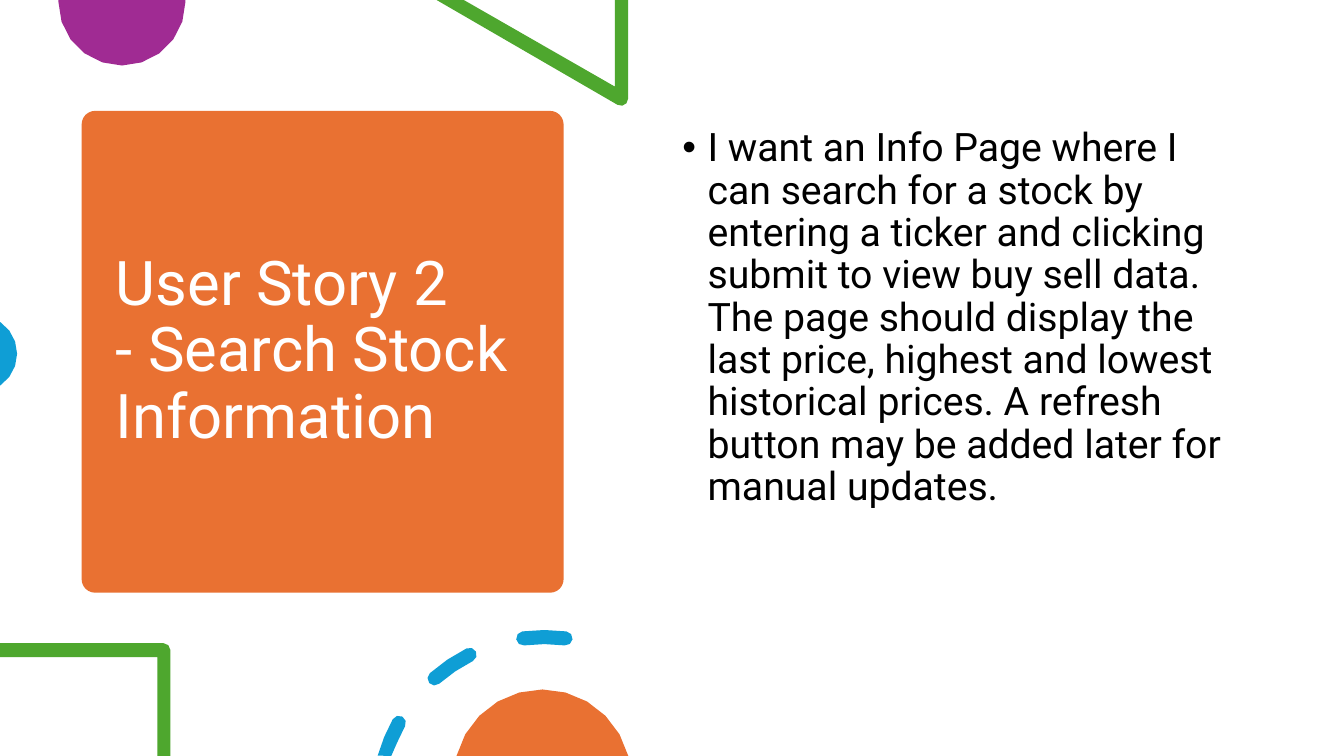
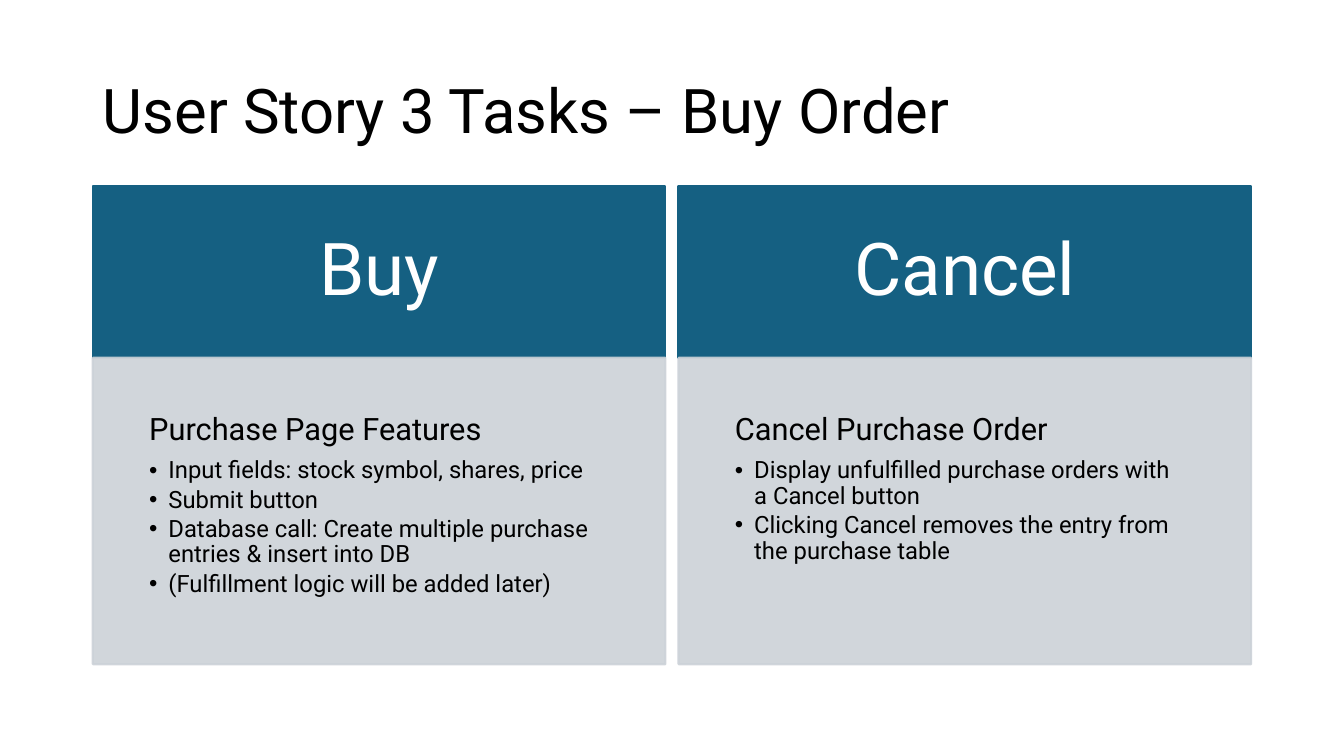
import math

import pptx
import pptx.dml.color
import pptx.enum.shapes
import pptx.enum.text
import pptx.oxml.ns
import pptx.util
from lxml import etree

WIDE, HIGH = 13.33, 7.5
FONT = "Roboto"
HUES = {"white": "FFFFFF", "black": "000000", "orange": "E97132",
        "purple": "A02B93", "green": "4EA72E", "blue": "0F9ED5",
        "teal": "156082", "grey": "CCD2D8"}
TITLE = 44
BAR = 0.07  # half the width of a thick stroke
TIE = chr(160)  # space that keeps two words on one line

Inch = pptx.util.Inches
Point = pptx.util.Pt
Kind = pptx.enum.shapes.MSO_SHAPE
Side = pptx.enum.text.PP_ALIGN
Hold = pptx.enum.text.MSO_ANCHOR


def tint(name):
    return pptx.dml.color.RGBColor.from_string(HUES[name])


def child(node, tag, **traits):
    return etree.SubElement(node, pptx.oxml.ns.qn(tag), **traits)


def paint(shape, hue, edge=0, clear=None):
    """Fill a shape; outline it too when an edge width is given."""
    shape.shadow.inherit = False
    fills = [shape.fill]
    if edge:
        shape.line.width = Point(edge)
        fills.append(shape.line.fill)
    else:
        shape.line.fill.background()
    for fill in fills:
        fill.solid()
        fill.fore_color.rgb = tint(hue)
    if clear:
        for node in shape.element.spPr.iter(pptx.oxml.ns.qn("a:srgbClr")):
            child(node, "a:alpha", val=str(clear * 1000))


def block(slide, kind, box, hue, edge=0, clear=None):
    shape = slide.shapes.add_shape(kind, *map(Inch, box))
    paint(shape, hue, edge, clear)
    return shape


# Text

def frame(shape, anchor=Hold.TOP, inset=None):
    text = shape.text_frame
    text.word_wrap = True
    text.vertical_anchor = anchor
    if inset is not None:
        text.margin_left = text.margin_right = Inch(inset)
        text.margin_top = text.margin_bottom = Inch(inset)
    return text


def write(para, lines, size, hue, before=0, after=0, dent=0, align=Side.LEFT):
    para.alignment = align
    para.line_spacing = 0.9
    para.space_before = Point(before)
    para.space_after = Point(after)
    if dent:
        props = para._p.get_or_add_pPr()
        props.set("marL", str(Inch(dent)))
        props.set("indent", str(-Inch(dent)))
        child(props, "a:buFont", typeface="Arial")
        child(props, "a:buChar", char="•")
    for row, line in enumerate(lines):
        if row:
            para.add_line_break()
        run = para.add_run()
        run.text = line
        run.font.name = FONT
        run.font.size = Point(size)
        run.font.color.rgb = tint(hue)


def label(slide, box, lines, size, hue, anchor=Hold.TOP, **style):
    text = frame(slide.shapes.add_textbox(*map(Inch, box)), anchor)
    write(text.paragraphs[0], lines, size, hue, **style)


def title(slide, box, lines, hue):
    label(slide, box, lines, TITLE, hue, Hold.MIDDLE)


# Outlines

def arc(x, y, r, start, end, steps):
    """Points of an arc, in degrees clockwise from the right."""
    turns = (math.radians(start + (end - start) * i / steps)
             for i in range(steps + 1))
    return [(x + r * math.cos(t), y + r * math.sin(t)) for t in turns]


def dash(x, y, r, start, end):
    """A round-ended stroke along an arc, cut at the slide's foot."""
    (ax, ay), (bx, by) = arc(x, y, r, start, end, 1)
    points = (arc(x, y, r + BAR, start, end, 2)
              + arc(bx, by, BAR, end, end + 180, 4)[1:-1]
              + arc(x, y, r - BAR, end, start, 2))
    if ay + BAR < HIGH:
        points += arc(ax, ay, BAR, start + 180, start + 360, 4)[1:-1]
    return [(px, min(py, HIGH)) for px, py in points]


def sketch(slide, hue, *loops):
    pen = None
    for loop in loops:
        first, *rest = [(Inch(x), Inch(y)) for x, y in loop]
        if pen is None:
            pen = slide.shapes.build_freeform(*first)
        else:
            pen.move_to(*first)
        pen.add_line_segments(rest, close=True)
    paint(pen.convert_to_shape(), hue)


def decor(slide, box):
    """Cut-off shapes around the edges of the left half."""
    left, top, wide, high = box
    right, foot = left + wide, top + high
    sketch(slide, "purple", arc(left + 1.21, top + 0.02, 0.63, 0, 180, 10)
           + [(left + 0.58, top), (left + 1.84, top)])
    sketch(slide, "green", [
        (right, top), (right - 0.13, top), (right - 0.13, top + 0.86),
        (right - 1.63, top), (right - 1.9, top)]
        + arc(right - BAR, top + 0.98, BAR, 120, 0, 3))
    sketch(slide, "blue", arc(left - 0.21, top + 3.51, 0.38, -56, 56, 6))
    sketch(slide, "green", [(left, foot - 1.12)]
           + arc(left + 1.62, foot - 1.05, BAR, -90, 0, 2)
           + [(left + 1.69, foot), (left + 1.56, foot),
              (left + 1.56, foot - 0.98), (left, foot - 0.98)])
    sketch(slide, "blue", *(dash(right - 0.83, foot + 0.47, 1.65, *span)
                            for span in ((196, 209), (228.7, 243.3),
                                         (262.7, 277.3))))
    sketch(slide, "orange",
           arc(right - 0.85, foot + 0.22, 0.88, 194.5, 345.5, 10))


# Slides

def story(slide, heads, body):
    card = block(slide, Kind.ROUNDED_RECTANGLE, (0.81, 1.1, 4.78, 4.78),
                 "orange")
    card.adjustments[0] = 0.028
    title(slide, (1.05, 1.21, 4.31, 4.56), heads, "white")
    decor(slide, (0, 0, 6.23, HIGH))
    label(slide, (6.67, 1.22, 5.75, 3.98), [body], 28, "black",
          before=10, dent=0.25)


def panel(slide, box, head, lead, items):
    left, top, wide, high = box
    cap = 1.7
    bar = block(slide, Kind.RECTANGLE, (left, top, wide, cap), "teal", 1.5)
    write(frame(bar, Hold.MIDDLE, 0.45).paragraphs[0], [head], 52, "white",
          align=Side.CENTER)
    base = block(slide, Kind.RECTANGLE,
                 (left, top + cap, wide, high - cap), "grey", 1.5, 90)
    text = frame(base, inset=0.56)
    write(text.paragraphs[0], [lead], 22, "black", after=7.7)
    for item in items:
        write(text.add_paragraph(), [item], 17, "black", after=2.5, dent=0.19)


def tasks(slide, head, panels):
    left, wide, gap = 0.92, 11.49, 0.13
    title(slide, (left, 0.4, wide, 1.45), [head], "black")
    span = (wide - gap * (len(panels) - 1)) / len(panels)
    for i, parts in enumerate(panels):
        panel(slide, (left + i * (span + gap), 1.85, span, 4.74), *parts)


def main():
    deck = pptx.Presentation()
    deck.slide_width, deck.slide_height = Inch(WIDE), Inch(HIGH)
    blank = deck.slide_layouts[6]
    story(deck.slides.add_slide(blank),
          ["User Story 2", "- Search Stock Information"],
          "I want an Info Page where I can search for a stock by entering "
          "a ticker and clicking submit to view buy sell data. The page "
          "should display the last price, highest and lowest historical "
          "prices. A refresh button may be added later for manual updates.")
    tasks(deck.slides.add_slide(blank), "User Story 3 Tasks – Buy Order", [
        ("Buy", "Purchase Page Features", [
            "Input fields: stock symbol, shares, price",
            "Submit button",
            "Database call: Create multiple purchase entries & insert into DB",
            "(Fulfillment logic will be added later)"]),
        ("Cancel", "Cancel Purchase Order", [
            "Display unfulfilled purchase orders with "
            f"a{TIE}Cancel{TIE}button",
            f"Clicking{TIE}Cancel{TIE}removes the entry from "
            f"the{TIE}purchase{TIE}table"])])
    deck.save("out.pptx")


if __name__ == "__main__":
    main()
